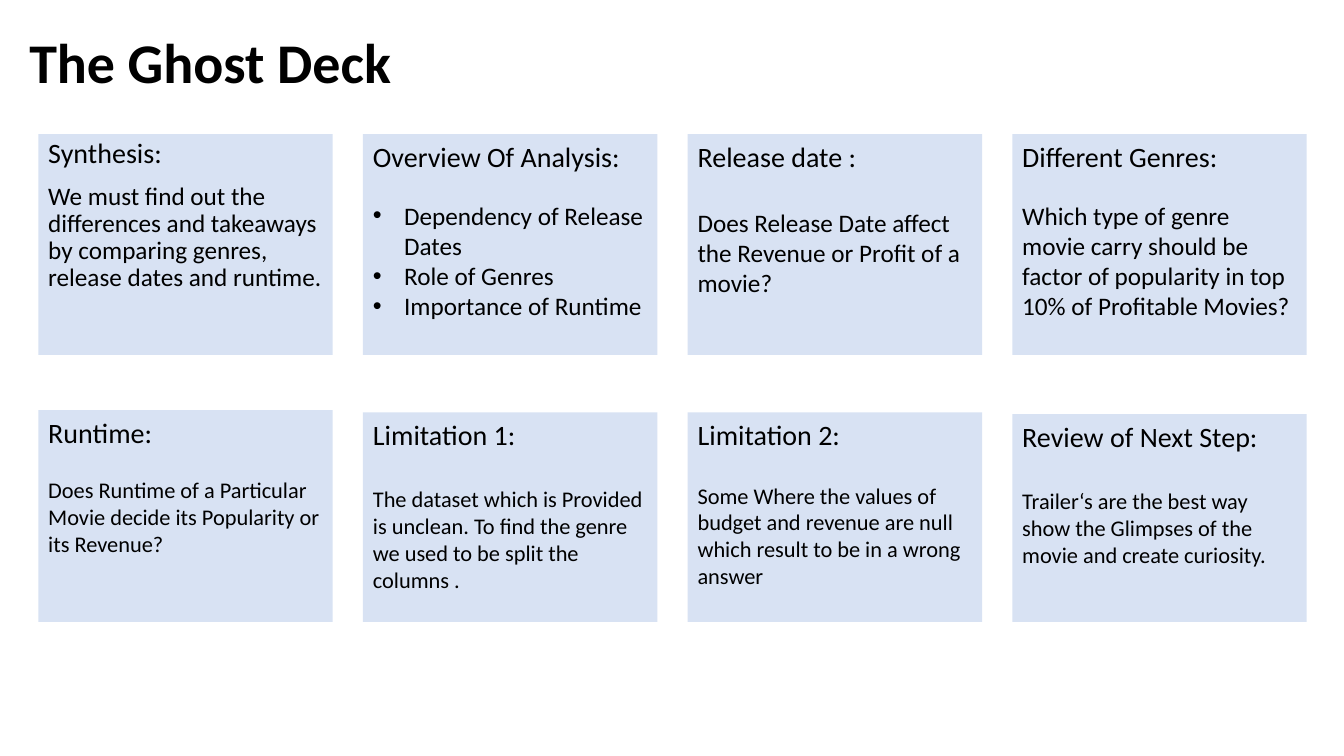
"""Build the Ghost Deck slide: a title above two rows of four cards."""
import dataclasses

import lxml.etree
import pptx
import pptx.dml.color
import pptx.enum.shapes
import pptx.enum.text
import pptx.oxml.ns
import pptx.util

Inches = pptx.util.Inches


@dataclasses.dataclass(frozen=True)
class Theme:
    font: str = "Calibri"
    ink: str = "000000"
    card: str = "D8E2F3"
    title_size: int = 40
    heading_size: int = 20
    large_size: int = 18
    small_size: int = 16


@dataclasses.dataclass(frozen=True)
class Card:
    heading: str
    lines: tuple
    top: float
    size: int
    gap: float
    line_spacing: float = 1.0
    bulleted: bool = False


THEME = Theme()
CARD_LEFT, CARD_STEP, CARD_WIDTH = 0.38, 3.22, 2.92
BULLET_INDENT = 0.31

TOP_ROW = (
    Card("Synthesis:",
         ("We must find out the differences and takeaways by comparing genres, "
          "release dates and runtime.",),
         1.33, THEME.large_size, 10, line_spacing=0.9),
    Card("Overview Of Analysis:",
         ("Dependency of Release Dates", "Role of Genres", "Importance of Runtime"),
         1.33, THEME.large_size, 19.5, bulleted=True),
    Card("Release date :",
         ("Does Release Date affect the Revenue or Profit of a movie?",),
         1.33, THEME.large_size, 24.5),
    Card("Different Genres:",
         ("Which type of genre movie carry should be factor of popularity in top "
          "10% of Profitable Movies?",),
         1.33, THEME.large_size, 19.5),
)
BOTTOM_ROW = (
    Card("Runtime:",
         ("Does Runtime of a Particular Movie decide its Popularity or its Revenue?",),
         4.07, THEME.small_size, 19.5),
    Card("Limitation 1:",
         ("The dataset which is Provided is unclean. To find the genre we used to be "
          "split the columns .",),
         4.09, THEME.small_size, 24.5),
    Card("Limitation 2:",
         ("Some Where the values of budget and revenue are null which result to be "
          "in a wrong answer",),
         4.09, THEME.small_size, 22),
    Card("Review of Next Step:",
         ("Trailer‘s are the best way show the Glimpses of the movie and create curiosity.",),
         4.11, THEME.small_size, 24.5),
)
ROWS = ((TOP_ROW, 3.52), (BOTTOM_ROW, 6.17))


def write_text(paragraph, text, *, size, bold=False, line_spacing=1.0, before=0):
    """Write left-aligned text in the theme's font and ink."""
    paragraph.alignment = pptx.enum.text.PP_ALIGN.LEFT
    paragraph.line_spacing = line_spacing
    paragraph.space_before = pptx.util.Pt(before)
    run = paragraph.add_run()
    run.text = text
    run.font.name = THEME.font
    run.font.size = pptx.util.Pt(size)
    run.font.bold = bold
    run.font.color.rgb = pptx.dml.color.RGBColor.from_string(THEME.ink)


def add_bullet(paragraph):
    """Give the paragraph a hanging round bullet."""
    properties = paragraph._p.get_or_add_pPr()
    properties.set("marL", str(Inches(BULLET_INDENT)))
    properties.set("indent", str(-Inches(BULLET_INDENT)))
    qualify = pptx.oxml.ns.qn
    lxml.etree.SubElement(properties, qualify("a:buFont"), typeface="Arial")
    lxml.etree.SubElement(properties, qualify("a:buChar"), char="•")


def prepare_frame(shape, anchor):
    """Set wrapping, insets and anchor, and return the text frame."""
    frame = shape.text_frame
    frame.word_wrap = True
    frame.auto_size = pptx.enum.text.MSO_AUTO_SIZE.NONE
    frame.vertical_anchor = anchor
    frame.margin_left = frame.margin_right = Inches(0.1)
    frame.margin_top = frame.margin_bottom = Inches(0.05)
    return frame


def add_title(slide, text):
    """Place and fill the title placeholder."""
    title = slide.shapes.title
    title.left, title.top = Inches(0.19), Inches(0.22)
    title.width, title.height = Inches(12.96), Inches(0.85)
    frame = prepare_frame(title, pptx.enum.text.MSO_ANCHOR.MIDDLE)
    write_text(frame.paragraphs[0], text, size=THEME.title_size, bold=True,
               line_spacing=0.9)


def add_card(slide, card, left, bottom):
    """Add a tinted card with a heading and its body lines."""
    shape = slide.shapes.add_shape(
        pptx.enum.shapes.MSO_SHAPE.RECTANGLE, Inches(left), Inches(card.top),
        Inches(CARD_WIDTH), Inches(bottom - card.top))
    shape.shadow.inherit = False
    shape.fill.solid()
    shape.fill.fore_color.rgb = pptx.dml.color.RGBColor.from_string(THEME.card)
    shape.line.fill.background()
    frame = prepare_frame(shape, pptx.enum.text.MSO_ANCHOR.TOP)
    write_text(frame.paragraphs[0], card.heading, size=THEME.heading_size,
               line_spacing=card.line_spacing)
    for index, line in enumerate(card.lines):
        paragraph = frame.add_paragraph()
        write_text(paragraph, line, size=card.size, line_spacing=card.line_spacing,
                   before=0 if index else card.gap)
        if card.bulleted:
            add_bullet(paragraph)


def main():
    """Build and save the slide."""
    presentation = pptx.Presentation()
    presentation.slide_width = Inches(13.33)
    presentation.slide_height = Inches(7.5)
    layout = presentation.slide_layouts.get_by_name("Title Only")
    slide = presentation.slides.add_slide(layout)
    add_title(slide, "The Ghost Deck")
    for cards, bottom in ROWS:
        for column, card in enumerate(cards):
            add_card(slide, card, CARD_LEFT + column * CARD_STEP, bottom)
    presentation.save("out.pptx")


if __name__ == "__main__":
    main()
